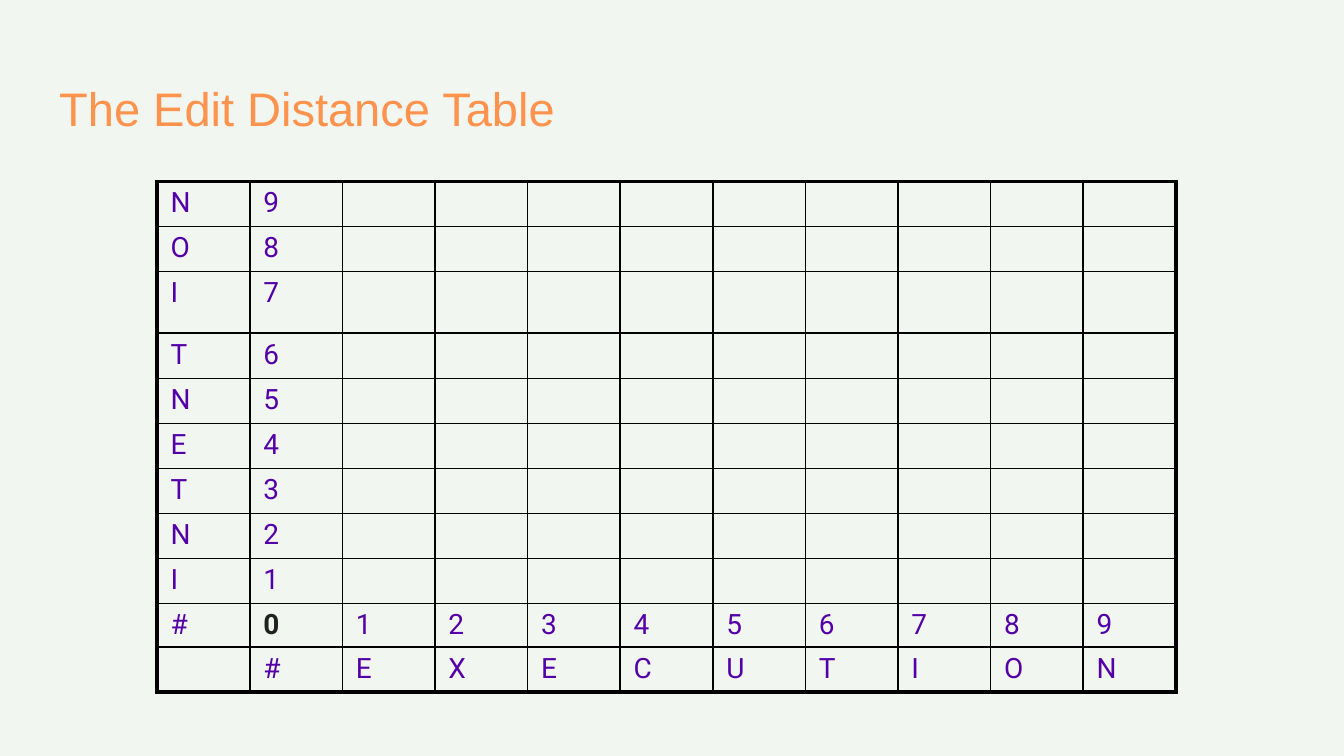
from dataclasses import dataclass

from lxml import etree
from pptx import Presentation
from pptx.dml.color import RGBColor
from pptx.enum.text import MSO_ANCHOR, PP_ALIGN
from pptx.oxml.ns import qn
from pptx.util import Inches, Pt


@dataclass(frozen=True)
class Theme:
    background: str = "F2F6F0"
    title: str = "FF934D"
    text: str = "5400A8"
    origin: str = "212121"
    border: str = "000000"
    title_font: str = "Arial"
    table_font: str = "Roboto"
    title_size: float = 25.2
    table_size: float = 15
    inner_line: float = 1
    outer_line: float = 2.25


THEME = Theme()
SOURCE = "INTENTION"
TARGET = "EXECUTION"
TALL_ROW = 2


def style_font(font, name, size, color, bold=False):
    font.name = name
    font.size = Pt(size)
    font.bold = bold
    font.color.rgb = RGBColor.from_string(color)


def add_title(slide, text):
    sp = slide.shapes.title
    sp.left, sp.top = Inches(0.34), Inches(0.49)
    sp.width, sp.height = Inches(9.32), Inches(0.63)
    tf = sp.text_frame
    tf.text = text
    tf.vertical_anchor = MSO_ANCHOR.MIDDLE
    tf.margin_left = tf.margin_right = Inches(0.1)
    tf.margin_top = tf.margin_bottom = Inches(0.1)
    p = tf.paragraphs[0]
    p.alignment = PP_ALIGN.LEFT
    style_font(p.font, THEME.title_font, THEME.title_size, THEME.title)


def distance_rows():
    size = len(SOURCE)
    rows = [
        [letter, str(n)] + [""] * len(TARGET)
        for n, letter in reversed(list(enumerate(SOURCE, 1)))
    ]
    rows.append(["#"] + [str(n) for n in range(size + 1)])
    rows.append(["", "#", *TARGET])
    return rows


def set_borders(cell, outer_sides):
    tc_pr = cell._tc.get_or_add_tcPr()
    for side in "LRTB":
        width = THEME.outer_line if side in outer_sides else THEME.inner_line
        ln = etree.SubElement(tc_pr, qn(f"a:ln{side}"), w=str(Pt(width)))
        fill = etree.SubElement(ln, qn("a:solidFill"))
        etree.SubElement(fill, qn("a:srgbClr"), val=THEME.border)


def set_space_before(p, percent):
    before = etree.SubElement(p._p.get_or_add_pPr(), qn("a:spcBef"))
    etree.SubElement(before, qn("a:spcPct"), val=str(percent * 1000))


def fill_cell(cell, text):
    cell.margin_left = cell.margin_right = Inches(0.1)
    cell.margin_top = cell.margin_bottom = Inches(0.04)
    cell.fill.background()
    p = cell.text_frame.paragraphs[0]
    if not text:
        size = str(int(THEME.table_size * 100))
        etree.SubElement(p._p, qn("a:endParaRPr"), sz=size)
        return
    p.add_run().text = text
    set_space_before(p, 20)
    is_origin = text == "0"
    color = THEME.origin if is_origin else THEME.text
    style_font(p.font, THEME.table_font, THEME.table_size, color, is_origin)


def add_distance_table(slide, rows):
    n_rows, n_cols = len(rows), len(rows[0])
    width, height, tall = Inches(7.58), Inches(3.71), Inches(0.46)
    table = slide.shapes.add_table(
        n_rows, n_cols, Inches(1.17), Inches(1.35), width, height
    ).table
    table.first_row = table.horz_banding = False
    for col in table.columns:
        col.width = width // n_cols
    for i, row in enumerate(table.rows):
        row.height = tall if i == TALL_ROW else (height - tall) // (n_rows - 1)
    for i, values in enumerate(rows):
        for j, text in enumerate(values):
            cell = table.cell(i, j)
            edges = {"L": j == 0, "R": j == n_cols - 1,
                     "T": i == 0, "B": i == n_rows - 1}
            set_borders(cell, [side for side, outer in edges.items() if outer])
            fill_cell(cell, text)


def main():
    prs = Presentation()
    prs.slide_width = Inches(10)
    prs.slide_height = prs.slide_width * 9 // 16
    slide = prs.slides.add_slide(prs.slide_layouts[5])
    bg = slide.background.fill
    bg.solid()
    bg.fore_color.rgb = RGBColor.from_string(THEME.background)
    add_distance_table(slide, distance_rows())
    add_title(slide, "The Edit Distance Table")
    prs.save("out.pptx")


if __name__ == "__main__":
    main()
